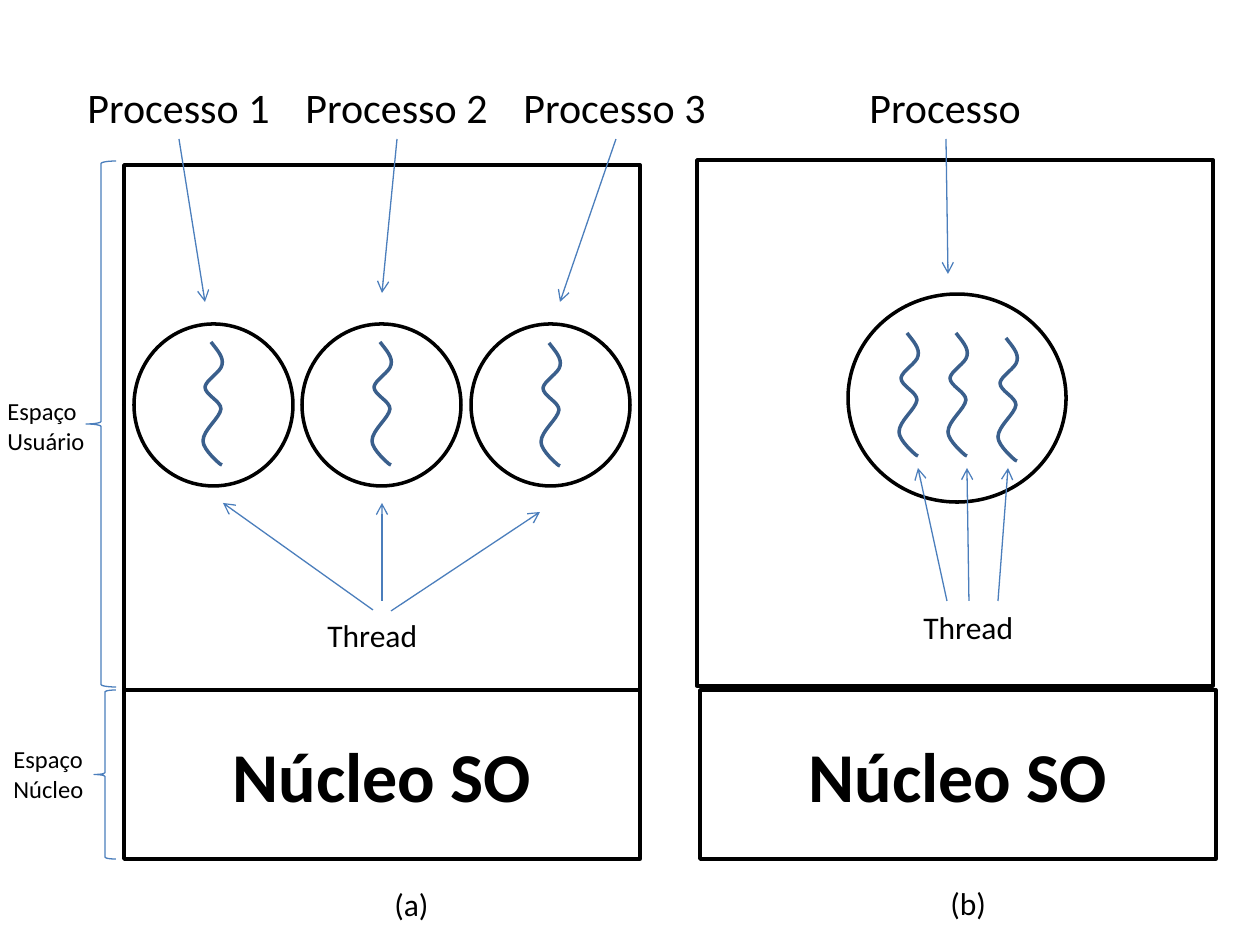
from dataclasses import dataclass

from lxml.etree import SubElement
from pptx import Presentation
from pptx.dml.color import RGBColor as Color
from pptx.enum.shapes import MSO_CONNECTOR as Connector, MSO_SHAPE as Preset
from pptx.enum.text import (MSO_ANCHOR as Anchor, MSO_AUTO_SIZE as AutoSize,
                            PP_ALIGN as Align)
from pptx.oxml.ns import qn
from pptx.util import Emu, Pt

PIXEL = 914400 / 126


def emu(*pixels: int) -> list[Emu]:
    """Turn pixel lengths into EMU."""
    return [Emu(round(n * PIXEL)) for n in pixels]


@dataclass(frozen=True)
class Theme:
    """Colours, line widths and type sizes of the slide."""
    font: str = "Calibri"
    ink: Color = Color(0x00, 0x00, 0x00)
    paper: Color = Color(0xFF, 0xFF, 0xFF)
    pointer: Color = Color(0x4B, 0x7E, 0xBC)
    wave: Color = Color(0x3A, 0x5F, 0x8C)
    thick: float = 2
    thin: float = 0.75
    kernel: int = 40
    process: int = 24
    caption: int = 18
    space: int = 14


@dataclass(frozen=True)
class Box:
    """A rectangle in pixels."""
    left: int
    top: int
    width: int
    height: int

    def emu(self) -> list[Emu]:
        """Return left, top, width and height in EMU."""
        return emu(self.left, self.top, self.width, self.height)


@dataclass(frozen=True)
class Label:
    """Free text, one paragraph per line."""
    text: str
    box: Box
    size: int


@dataclass(frozen=True)
class Arrow:
    """A pointer from one pixel position to another."""
    x1: int
    y1: int
    x2: int
    y2: int


THEME = Theme()
# Cubic segments of a thread, as offsets from its upper end.
WAVE = [
    ((6, 8), (13, 15), (11, 23)),
    ((10, 30), (-5, 38), (-6, 45)),
    ((-6, 53), (10, 59), (10, 67)),
    ((9, 76), (-8, 88), (-8, 99)),
    ((-8, 108), (9, 122), (9, 122)),
]
WAVE_END = (11, 123)
WAVE_LEFT = -8

USER_SPACES = [Box(124, 165, 516, 525), Box(697, 160, 516, 526)]
KERNELS = [Box(124, 690, 516, 169), Box(700, 690, 516, 169)]
BRACES = [Box(86, 161, 30, 526), Box(94, 690, 22, 169)]
SMALL_PROCESSES = [Box(left, 324, 159, 162) for left in (134, 302, 471)]
LARGE_PROCESS = Box(848, 294, 218, 208)
THREADS = [(211, 342), (380, 342), (549, 343), (907, 333), (956, 333), (1006, 338)]

LABELS = [
    *[Label(f"Processo {i + 1}", Box(75 + 218 * i, 75, 209, 63), THEME.process)
      for i in range(3)],
    Label("Processo", Box(857, 75, 178, 63), THEME.process),
    Label("Thread", Box(315, 610, 116, 50), THEME.caption),
    Label("Thread", Box(911, 602, 116, 50), THEME.caption),
    Label("(a)", Box(382, 879, 60, 50), THEME.caption),
    Label("(b)", Box(938, 878, 62, 50), THEME.caption),
    Label("Espaço\nUsuário", Box(-5, 390, 103, 72), THEME.space),
    Label("Espaço\nNúcleo", Box(1, 738, 96, 72), THEME.space),
]
ARROWS = [
    Arrow(179, 139, 205, 302), Arrow(397, 139, 382, 293),
    Arrow(616, 139, 560, 302), Arrow(946, 139, 948, 274),
    Arrow(373, 610, 223, 503), Arrow(382, 601, 382, 503),
    Arrow(391, 611, 540, 512), Arrow(947, 601, 918, 468),
    Arrow(969, 601, 967, 468), Arrow(998, 601, 1008, 468),
]


def write(frame, text: str, size: int, bold: bool = False) -> None:
    """Fill a text frame and format its paragraphs."""
    frame.text = text
    for para in frame.paragraphs:
        para.font.name = THEME.font
        para.font.size = Pt(size)
        para.font.bold = bold
        para.font.color.rgb = THEME.ink


def outline(item, color: Color, width: float) -> None:
    """Set the line of a shape or connector."""
    item.line.color.rgb = color
    item.line.width = Pt(width)


def add_outlined(page, preset: Preset, box: Box):
    """Add a white shape with a thick black outline."""
    shape = page.shapes.add_shape(preset, *box.emu())
    shape.shadow.inherit = False
    shape.fill.solid()
    shape.fill.fore_color.rgb = THEME.paper
    outline(shape, THEME.ink, THEME.thick)
    return shape


def add_kernel(page, box: Box) -> None:
    """Add a kernel rectangle with its bold centred name."""
    frame = add_outlined(page, Preset.RECTANGLE, box).text_frame
    frame.vertical_anchor = Anchor.MIDDLE
    write(frame, "Núcleo SO", THEME.kernel, bold=True)
    frame.paragraphs[0].alignment = Align.CENTER


def add_brace(page, box: Box) -> None:
    """Add a thin left brace."""
    brace = page.shapes.add_shape(Preset.LEFT_BRACE, *box.emu())
    brace.shadow.inherit = False
    brace.fill.background()
    outline(brace, THEME.pointer, THEME.thin)


def add_thread(page, x: int, y: int) -> None:
    """Draw a wavy thread whose upper end is at x, y."""
    builder = page.shapes.build_freeform(x, y, scale=PIXEL)
    ends = [curve[-1] for curve in WAVE] + [WAVE_END]
    builder.add_line_segments([(x + dx, y + dy) for dx, dy in ends], close=False)
    thread = builder.convert_to_shape()
    straight = list(thread._element.iter(qn("a:lnTo")))
    for segment, curve in zip(straight, WAVE):
        cubic = segment.makeelement(qn("a:cubicBezTo"))
        for dx, dy in curve:
            SubElement(cubic, qn("a:pt"), x=str(dx - WAVE_LEFT), y=str(dy))
        segment.getparent().replace(segment, cubic)
    thread.shadow.inherit = False
    thread.fill.background()
    outline(thread, THEME.wave, THEME.thick)


def add_label(page, label: Label) -> None:
    """Add an unwrapped text box."""
    frame = page.shapes.add_textbox(*label.box.emu()).text_frame
    frame.word_wrap = False
    frame.auto_size = AutoSize.SHAPE_TO_FIT_TEXT
    write(frame, label.text, label.size)


def add_arrow(page, arrow: Arrow) -> None:
    """Add a thin connector with an open head at its end."""
    ends = emu(arrow.x1, arrow.y1, arrow.x2, arrow.y2)
    line = page.shapes.add_connector(Connector.STRAIGHT, *ends)
    outline(line, THEME.pointer, THEME.thin)
    SubElement(line.line._get_or_add_ln(), qn("a:tailEnd"), type="arrow")
    SubElement(line._element.spPr, qn("a:effectLst"))


def build() -> None:
    """Build the slide and save the deck."""
    deck = Presentation()
    deck.slide_width, deck.slide_height = emu(1260, 945)
    page = deck.slides.add_slide(deck.slide_layouts[6])
    for box in KERNELS:
        add_kernel(page, box)
    for box in USER_SPACES:
        add_outlined(page, Preset.RECTANGLE, box)
    for box in BRACES:
        add_brace(page, box)
    for box in [*SMALL_PROCESSES, LARGE_PROCESS]:
        add_outlined(page, Preset.OVAL, box)
    for x, y in THREADS:
        add_thread(page, x, y)
    for label in LABELS:
        add_label(page, label)
    for arrow in ARROWS:
        add_arrow(page, arrow)
    deck.save("out.pptx")


build()
